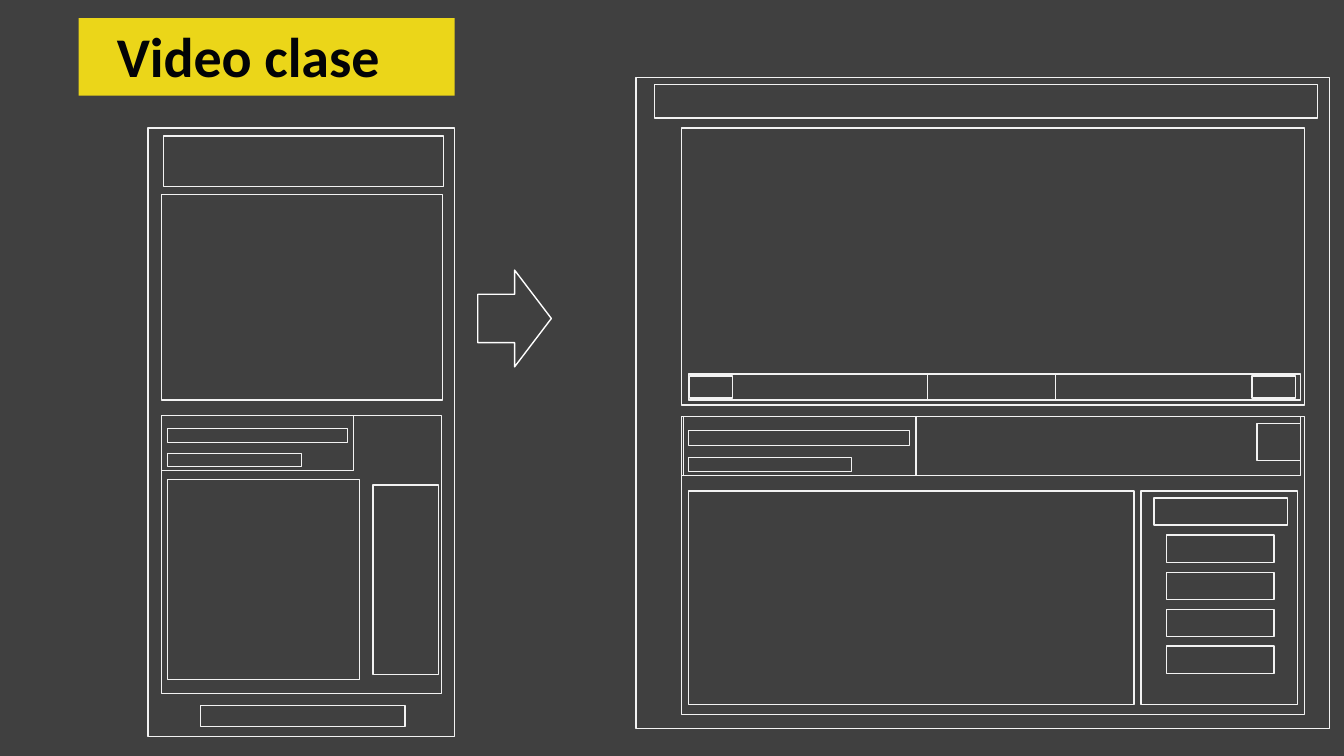
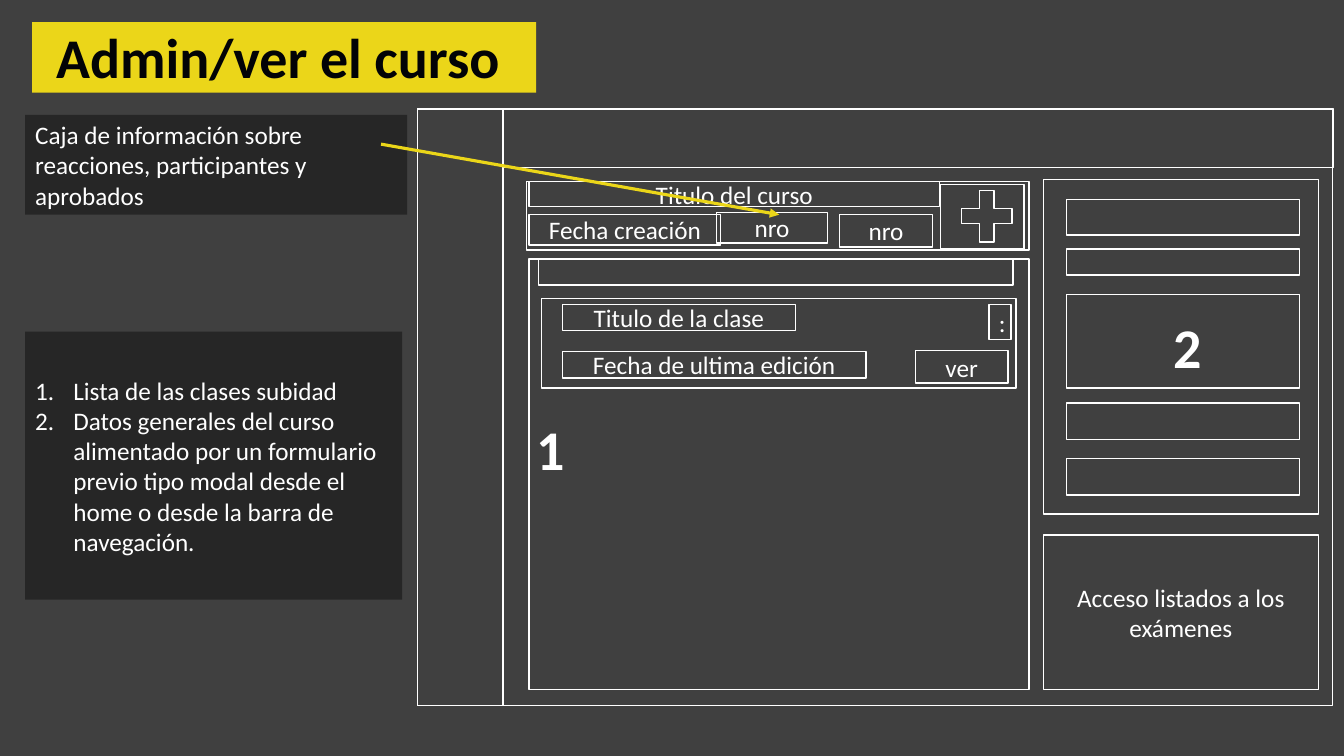
from dataclasses import dataclass
from typing import Optional

from lxml import etree
from pptx import Presentation, util as u
from pptx.dml.color import RGBColor
from pptx.enum import shapes, text
from pptx.oxml.ns import qn

CELL = 0.1
COLS, ROWS = 133.33, 75
FONT = "Calibri"
BODY, BIG = 18, 40

DARK = RGBColor(0x40, 0x40, 0x40)
PANEL = RGBColor(0x26, 0x26, 0x26)
YELLOW = RGBColor(0xEB, 0xD6, 0x19)
INK = RGBColor(0x02, 0x03, 0x06)
WHITE = RGBColor(0xFF, 0xFF, 0xFF)
PALE = RGBColor(0xF2, 0xF2, 0xF2)

RECT = shapes.MSO_SHAPE.RECTANGLE
LEFT, CENTER = text.PP_ALIGN.LEFT, text.PP_ALIGN.CENTER


@dataclass(frozen=True)
class Box:
    col: float
    row: float
    cols: float
    rows: float
    label: str = ""

    def place(self) -> tuple:
        return tuple(grid(v) for v in (self.col, self.row, self.cols, self.rows))


@dataclass(frozen=True)
class Title:
    label: str
    band: Box
    words: Box


def grid(cells: float) -> int:
    return u.Inches(cells * CELL)


def stack(first: Box, count: int, step: float) -> list[Box]:
    return [Box(first.col, first.row + i * step, first.cols, first.rows)
            for i in range(count)]


def add_run(p, label: str, size: int = BODY, color: RGBColor = WHITE,
            bold: bool = False) -> None:
    r = p.add_run()
    r.text = label
    r.font.name = FONT
    r.font.size = u.Pt(size)
    r.font.bold = bold
    r.font.color.rgb = color


def add_box(tree, box: Box, line: Optional[RGBColor] = WHITE,
            fill: Optional[RGBColor] = None, kind=RECT, align=CENTER):
    sp = tree.add_shape(kind, *box.place())
    sp.shadow.inherit = False
    if fill is None:
        sp.fill.background()
    else:
        sp.fill.solid()
        sp.fill.fore_color.rgb = fill
    if line is None:
        sp.line.fill.background()
    else:
        sp.line.color.rgb = line
        sp.line.width = u.Pt(1)
    tf = sp.text_frame
    tf.word_wrap = True
    tf.vertical_anchor = text.MSO_ANCHOR.MIDDLE
    p = tf.paragraphs[0]
    p.alignment = align
    if box.label:
        add_run(p, box.label)
    return sp


def add_words(s, box: Box, color: RGBColor) -> None:
    tf = s.shapes.add_textbox(*box.place()).text_frame
    tf.word_wrap = True
    tf.auto_size = text.MSO_AUTO_SIZE.SHAPE_TO_FIT_TEXT
    add_run(tf.paragraphs[0], box.label, BIG, color, True)


def add_title(s, title: Title) -> None:
    add_box(s.shapes, title.band, line=None, fill=YELLOW)
    w = title.words
    add_words(s, Box(w.col, w.row, w.cols, w.rows, title.label), INK)


def add_numbered(s, box: Box, items: list[str]) -> None:
    tf = add_box(s.shapes, box, line=None, fill=PANEL, align=LEFT).text_frame
    for i, item in enumerate(items):
        p = tf.add_paragraph() if i else tf.paragraphs[0]
        p.alignment = LEFT
        pr = p._p.get_or_add_pPr()
        pr.set("marL", str(u.Inches(0.38)))
        pr.set("indent", str(-u.Inches(0.38)))
        etree.SubElement(pr, qn("a:buFont"), typeface="+mj-lt")
        etree.SubElement(pr, qn("a:buAutoNum"), type="arabicPeriod")
        add_run(p, item)


def add_arrow(s, start: tuple[float, float], end: tuple[float, float]) -> None:
    c = s.shapes.add_connector(shapes.MSO_CONNECTOR.STRAIGHT,
                               *(grid(v) for v in start + end))
    c.line.color.rgb = YELLOW
    c.line.width = u.Pt(2.25)
    etree.SubElement(c.line._get_or_add_ln(), qn("a:tailEnd"), type="triangle")
    etree.SubElement(c._element.spPr, qn("a:effectLst"))


def add_wireframe(s, boxes: list[Box]) -> None:
    group = s.shapes.add_group_shape()
    for box in boxes:
        add_box(group.shapes, box, PALE)


def new_slide(prs):
    s = prs.slides.add_slide(prs.slide_layouts[6])
    s.background.fill.solid()
    s.background.fill.fore_color.rgb = DARK
    return s


PHONE = [
    Box(14.7, 12.7, 30.4, 60.4),
    Box(16.2, 13.5, 27.8, 5),
    Box(16, 19.3, 27.9, 20.4),
    Box(16, 41.2, 27.8, 27.6),
    Box(16, 41.2, 19.1, 5.5),
    Box(16.6, 42.5, 17.9, 1.4),
    Box(16.6, 45, 13.3, 1.3),
    Box(16.6, 47.6, 19.1, 19.8),
    Box(37, 48.1, 6.5, 18.8),
    Box(19.9, 70, 20.3, 2.1),
]

DESKTOP = [
    Box(63.1, 7.7, 68.8, 64.6),
    Box(64.9, 8.4, 65.8, 3.3),
    Box(67.6, 12.7, 61.8, 27.5),
    Box(68.3, 37.1, 60.7, 2.6),
    Box(68.4, 37.3, 4.3, 2.2),
    Box(92, 37.1, 12.7, 2.6),
    Box(124.2, 37.3, 4.3, 2.2),
    Box(67.6, 41.3, 61.8, 29.6),
    Box(67.8, 41.3, 61.2, 5.9),
    Box(67.6, 41.3, 23.3, 5.9),
    Box(68.3, 42.7, 21.9, 1.5),
    Box(68.3, 45.4, 16.2, 1.4),
    Box(124.7, 42, 4.3, 3.7),
    Box(68.3, 48.7, 44.2, 21.2),
    Box(113.2, 48.7, 15.5, 21.2),
    Box(114.5, 49.4, 13.2, 2.7),
    *stack(Box(115.7, 53.1, 10.7, 2.7), 4, 3.67),
]

COURSE = [
    Box(41.4, 10.8, 90.8, 59.2),
    Box(49.9, 10.8, 82.4, 5.8),
    Box(41.4, 10.8, 8.5, 59.2),
    Box(52.5, 25.7, 49.6, 42.7),
    Box(103.5, 17.8, 27.3, 33.2),
    Box(105.8, 19.8, 23.1, 3.5),
    Box(105.8, 24.7, 23.1, 2.6),
    Box(105.8, 29.2, 23.1, 9.3),
    *stack(Box(105.8, 40, 23.1, 3.6), 2, 5.5),
    Box(53.7, 29.6, 47.1, 8.9),
    Box(53.4, 25.7, 47.1, 2.6),
    Box(83.3, 21.3, 9.2, 3.2, "nro"),
    Box(55.8, 30.2, 23.1, 2.6, "Titulo de la clase"),
    Box(55.8, 34.9, 30.1, 2.6, "Fecha de ultima edición"),
    Box(52.2, 18, 49.9, 6.8),
    Box(52.5, 18, 40.7, 2.5, "Titulo del curso"),
    Box(71.1, 21.1, 11, 3, "nro"),
    Box(93.3, 18.3, 8.3, 6.4),
    Box(90.8, 34.8, 9.2, 3.2, "ver"),
    Box(98.1, 30.2, 2.2, 3.5, ":"),
    Box(52.5, 21.3, 19, 3, "Fecha creación"),
    Box(103.5, 53.1, 27.3, 15.3, "Acceso listados a los exámenes"),
]

MARKS = [Box(115.4, 30.5, 4.4, 7.7, "2"), Box(52.2, 40.6, 4.4, 7.7, "1")]


def build_video_class(prs) -> None:
    s = new_slide(prs)
    for frame in (PHONE, DESKTOP):
        add_wireframe(s, frame)
    add_box(s.shapes, Box(47.4, 26.8, 7.3, 9.6), kind=shapes.MSO_SHAPE.RIGHT_ARROW)
    add_title(s, Title("Video clase", Box(7.8, 1.8, 37.3, 7.7),
                       Box(10.6, 1.6, 33.2, 7.7)))


def build_course_admin(prs) -> None:
    s = new_slide(prs)
    add_title(s, Title("Admin/ver el curso", Box(3.2, 2.2, 50, 7),
                       Box(4.6, 1.7, 50, 7.7)))
    add_box(s.shapes, Box(2.5, 11.4, 37.9, 9.9,
                          "Caja de información sobre reacciones, participantes y aprobados"),
            line=None, fill=PANEL, align=LEFT)
    for box in COURSE:
        add_box(s.shapes, box)
    for mark in MARKS:
        add_words(s, mark, WHITE)
    add_numbered(s, Box(2.5, 32.9, 37.4, 26.6), [
        "Lista de las clases subidad",
        "Datos generales del curso alimentado por un formulario previo tipo modal "
        "desde el home o desde la barra de navegación.",
    ])
    plus = add_box(s.shapes, Box(95.4, 18.9, 5, 5.1), kind=shapes.MSO_SHAPE.CROSS)
    plus.adjustments[0] = 0.36
    add_arrow(s, (37.8, 14.3), (77.3, 21.3))


def main() -> None:
    prs = Presentation()
    prs.slide_width, prs.slide_height = grid(COLS), grid(ROWS)
    build_video_class(prs)
    build_course_admin(prs)
    prs.save("out.pptx")


if __name__ == "__main__":
    main()
